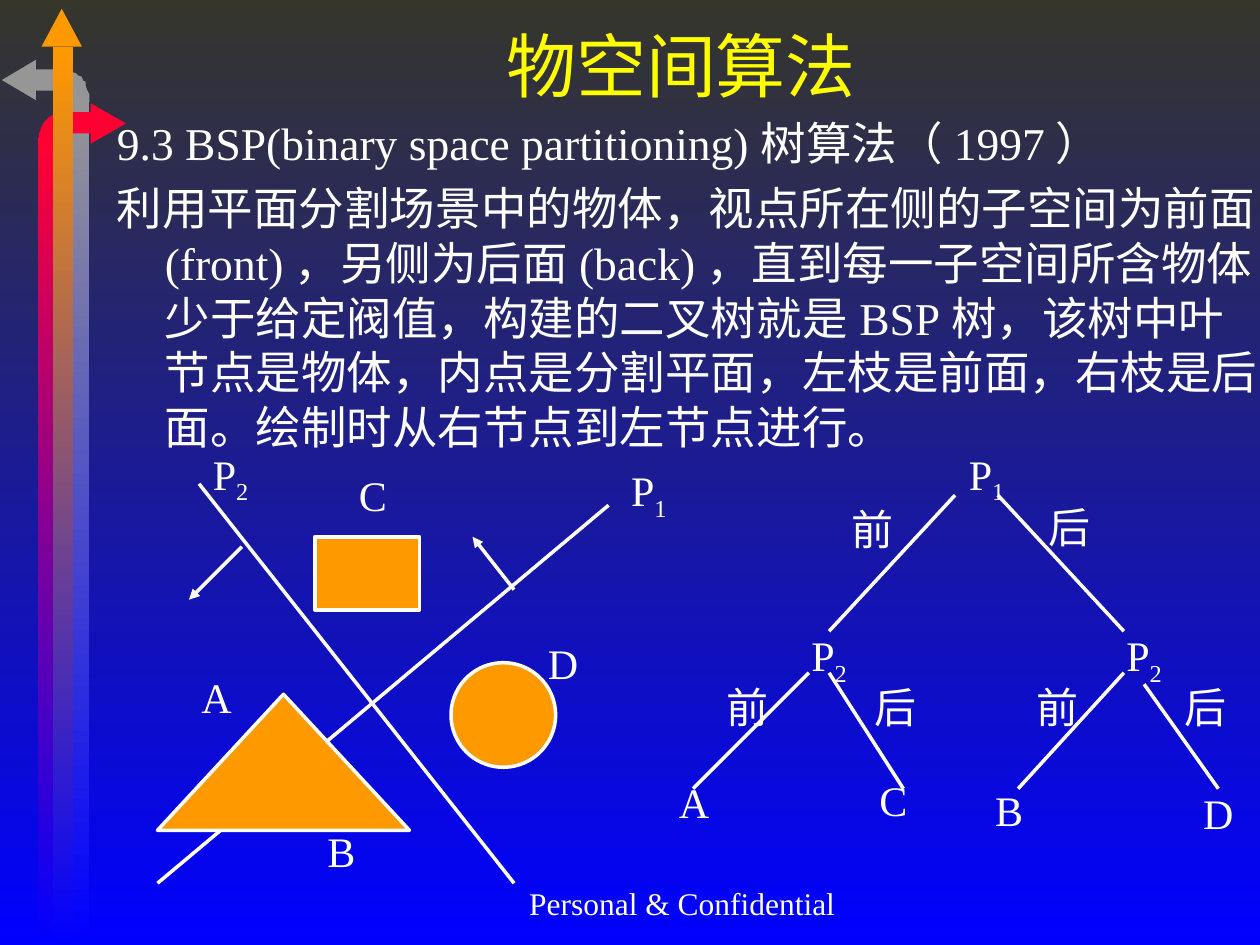
import pptx
import pptx.dml.color
import pptx.enum.shapes
import pptx.enum.text
import pptx.oxml
import pptx.oxml.ns
import pptx.util
from lxml import etree

EMU_PER_PX = 9144  # 100 px to the inch
SHAPE = pptx.enum.shapes.MSO_SHAPE
ALIGN = pptx.enum.text.PP_ALIGN
MIDDLE = pptx.enum.text.MSO_ANCHOR.MIDDLE
FIT = pptx.enum.text.MSO_AUTO_SIZE.SHAPE_TO_FIT_TEXT
WHITE, YELLOW, ORANGE = "FFFFFF", "FFFF00", "FF9900"
GRAY, RED, BLUE, OLIVE = "969696", "FF0033", "0000FF", "36362B"

GRAY_BEND = [(44, 55), (44, 72), (47, 72), (51, 73), (53, 76), (55, 78), (55, 81),
             (71, 81), (71, 75), (70, 73), (69, 71), (68, 68), (68, 65), (66, 64),
             (65, 61), (62, 60), (60, 58), (56, 57), (51, 56), (48, 55)]
RED_BEND = [(57, 89), (57, 106), (54, 106), (51, 107), (48, 109), (47, 112), (47, 115),
            (30, 115), (30, 111), (31, 108), (31, 106), (32, 104), (33, 101), (34, 99),
            (35, 97), (37, 95), (39, 93), (41, 92), (45, 90), (50, 89)]

BODY = [
    "9.3 BSP(binary space partitioning)树算法（1997）",
    "利用平面分割场景中的物体，视点所在侧的子空间为前面(front)，另侧为后面(back)，"
    "直到每一子空间所含物体少于给定阀值，构建的二叉树就是BSP树，该树中叶节点是物体，"
    "内点是分割平面，左枝是前面，右枝是后面。绘制时从右节点到左节点进行。",
]

PLANES = [(125, 701, 483, 401), (158, 384, 408, 701)]
NORMALS = [(408, 468, 375, 426), (192, 434, 150, 476)]
BRANCHES = [(758, 393, 658, 501), (792, 393, 892, 501),
            (642, 534, 550, 626), (658, 534, 717, 626),
            (892, 534, 808, 626), (908, 543, 967, 626)]

# left, top, text, subscript
SCENE_LABELS = [(491, 364, "P", "1"), (159, 351, "P", "2"), (275, 368, "C", ""),
                (150, 528, "A", ""), (250, 650, "B", ""), (425, 501, "D", "")]
TREE_LABELS = [(759, 351, "P", "1"), (634, 495, "P", "2"), (884, 495, "P", "2"),
               (666, 395, "前", ""), (822, 393, "后", ""),
               (567, 536, "前", ""), (684, 536, "后", ""),
               (813, 536, "前", ""), (930, 536, "后", ""),
               (529, 611, "A", ""), (688, 610, "C", ""),
               (780, 618, "B", ""), (945, 620, "D", "")]
LABEL_WIDTHS = {"P": 48, "A": 44, "D": 44, "B": 42, "C": 42, "前": 53, "后": 53}


def px(n):
    return pptx.util.Emu(n * EMU_PER_PX)


def rgb(value):
    return pptx.dml.color.RGBColor.from_string(value)


def set_values(obj, values):
    for name, value in values.items():
        setattr(obj, name, value)


def fill_gradient(fill, top, bottom):
    fill.gradient()
    fill.gradient_angle = 270
    for stop, color, position in zip(fill.gradient_stops, (top, bottom), (0, 1)):
        stop.color.rgb = rgb(color)
        stop.position = position


def paint(sp, color, fade_to=None, outline=None):
    sp.shadow.inherit = False
    if fade_to:
        fill_gradient(sp.fill, color, fade_to)
    else:
        sp.fill.solid()
        sp.fill.fore_color.rgb = rgb(color)
    if outline:
        sp.line.color.rgb = rgb(outline)
        sp.line.width = pptx.util.Pt(2)
    else:
        sp.line.fill.background()


def add_preset(s, kind, box, color, rotation=0, **look):
    sp = s.shapes.add_shape(kind, *map(px, box))
    sp.rotation = rotation
    paint(sp, color, **look)


def add_bend(s, points, color):
    builder = s.shapes.build_freeform(*points[0], scale=EMU_PER_PX)
    builder.add_line_segments(points[1:], close=True)
    paint(builder.convert_to_shape(), color)


def add_line(s, ends, arrow=False):
    line = s.shapes.add_connector(pptx.enum.shapes.MSO_CONNECTOR.STRAIGHT, *map(px, ends))
    line.line.color.rgb = rgb(WHITE)
    line.line.width = pptx.util.Pt(2)
    if arrow:
        etree.SubElement(line.line._get_or_add_ln(), pptx.oxml.ns.qn("a:tailEnd"),
                         type="triangle")
    etree.SubElement(line._element.spPr, pptx.oxml.ns.qn("a:effectLst"))


def add_run(p, text, size, color=WHITE):
    r = p.add_run()
    r.text = text
    set_values(r.font, {"name": "Times New Roman", "size": pptx.util.Pt(size)})
    r.font.color.rgb = rgb(color)
    return r


def add_text(s, box, paragraphs, size, color=WHITE, frame=None, para=None):
    tf = s.shapes.add_textbox(*map(px, box)).text_frame
    set_values(tf, {"word_wrap": True, **(frame or {})})
    for i, text in enumerate(paragraphs):
        p = tf.add_paragraph() if i else tf.paragraphs[0]
        set_values(p, para or {})
        add_run(p, text, size, color)
    return tf


def add_label(s, left, top, text, subscript):
    box = (left, top, LABEL_WIDTHS[text], 56 if subscript else 50)
    tf = add_text(s, box, [text], 24, frame={"word_wrap": False, "auto_size": FIT})
    if subscript:
        r = add_run(tf.paragraphs[0], subscript, 24)
        r.font._element.set("baseline", "-25000")


def add_body(s):
    tf = add_text(s, (83, 86, 933, 289), BODY, 26,
                  para={"space_before": pptx.util.Pt(6.5)})
    for p in tf.paragraphs:
        pPr = p._p.get_or_add_pPr()
        pPr.set("marL", str(px(38)))
        pPr.set("indent", str(px(-38)))


def add_arrow_decoration(s):
    add_preset(s, SHAPE.RECTANGLE, (28, 55, 16, 17), GRAY)
    add_bend(s, GRAY_BEND, GRAY)
    add_preset(s, SHAPE.ISOSCELES_TRIANGLE, (-1, 50, 32, 27), GRAY, rotation=270)
    add_preset(s, SHAPE.ISOSCELES_TRIANGLE, (33, 7, 32, 30), ORANGE)
    add_preset(s, SHAPE.RECTANGLE, (55, 81, 16, 669), GRAY, fade_to=BLUE)
    add_bend(s, RED_BEND, RED)
    add_preset(s, SHAPE.ISOSCELES_TRIANGLE, (70, 84, 32, 28), RED, rotation=90)
    add_preset(s, SHAPE.RECTANGLE, (57, 89, 16, 17), RED)
    add_preset(s, SHAPE.RECTANGLE, (30, 114, 16, 636), RED, fade_to=BLUE)
    add_preset(s, SHAPE.RECTANGLE, (42, 37, 16, 713), ORANGE, fade_to=BLUE)


def add_scene(s):
    """Objects A to D, cut by the planes P1 and P2."""
    for ends in PLANES:
        add_line(s, ends)
    for ends in NORMALS:
        add_line(s, ends, arrow=True)
    for kind, box in ((SHAPE.ISOSCELES_TRIANGLE, (125, 551, 200, 108)),
                      (SHAPE.RECTANGLE, (250, 426, 83, 58)),
                      (SHAPE.OVAL, (358, 526, 83, 83))):
        add_preset(s, kind, box, ORANGE, outline=WHITE)
    for label in SCENE_LABELS:
        add_label(s, *label)


def add_tree(s):
    for ends in BRANCHES:
        add_line(s, ends)
    for label in TREE_LABELS:
        add_label(s, *label)


def main():
    prs = pptx.Presentation()
    set_values(prs, {"slide_width": px(1000), "slide_height": px(750)})
    s = prs.slides.add_slide(prs.slide_layouts[6])
    fill_gradient(s.background.fill, OLIVE, BLUE)
    add_arrow_decoration(s)
    centred = {"alignment": ALIGN.CENTER}
    add_text(s, (383, 692, 317, 50), ["Personal & Confidential"], 18,
             frame={"vertical_anchor": MIDDLE, "word_wrap": False}, para=centred)
    add_text(s, (118, 13, 845, 77), ["物空间算法"], 40, YELLOW,
             frame={"vertical_anchor": MIDDLE}, para=centred)
    add_body(s)
    add_scene(s)
    add_tree(s)
    prs.save("out.pptx")


if __name__ == "__main__":
    main()
